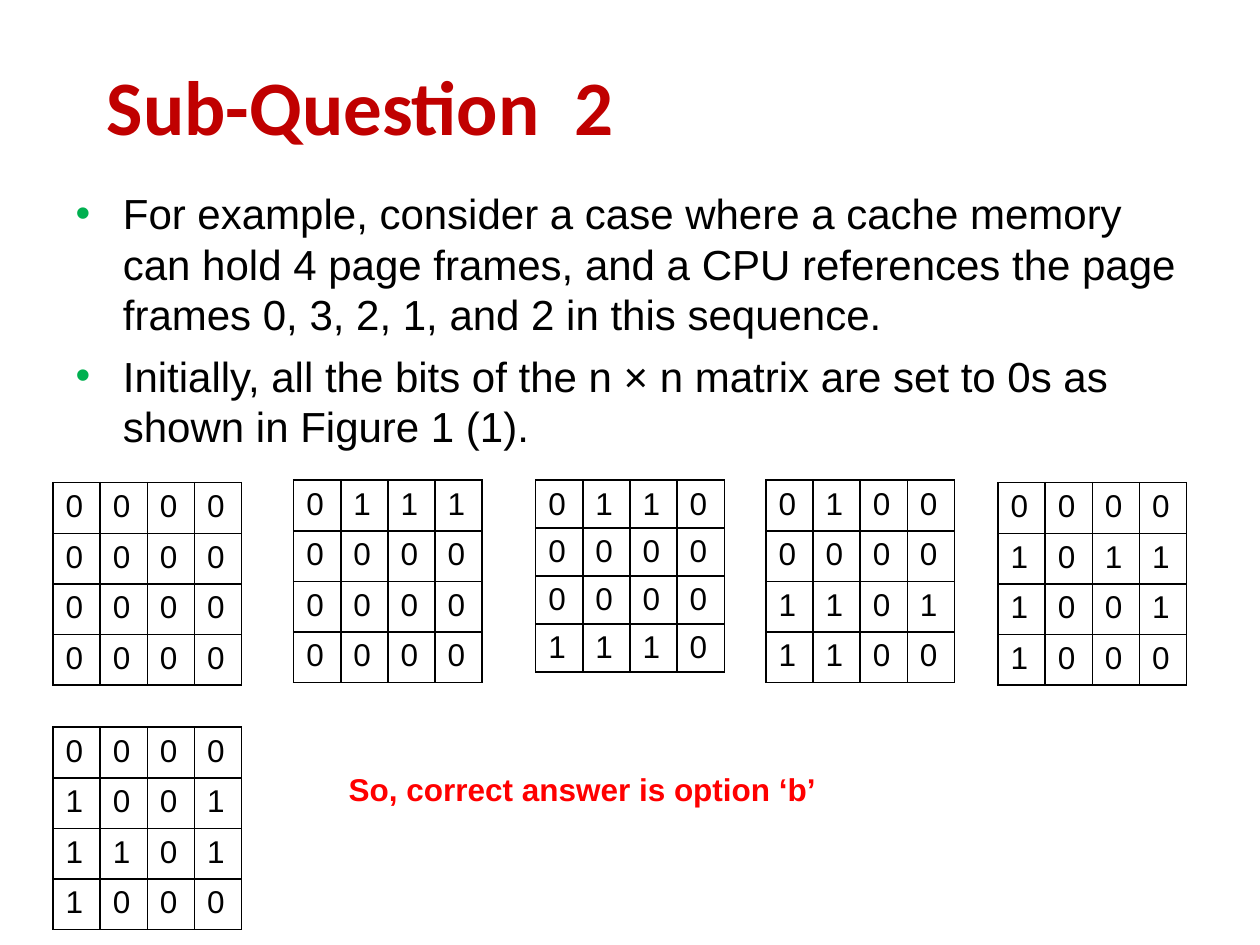
from pptx import Presentation
from pptx.dml.color import RGBColor
from pptx.enum.text import MSO_ANCHOR, MSO_AUTO_SIZE, PP_ALIGN
from pptx.oxml.ns import qn
from pptx.util import Cm, Pt
from lxml import etree

LEFT = PP_ALIGN.LEFT
TOP = MSO_ANCHOR.TOP
MIDDLE = MSO_ANCHOR.MIDDLE
FIXED = MSO_AUTO_SIZE.NONE
GROW = MSO_AUTO_SIZE.SHAPE_TO_FIT_TEXT

POINTS = [
    "For example, consider a case where a cache memory can hold 4 page frames, "
    "and a CPU references the page frames 0, 3, 2, 1, and 2 in this sequence.",
    "Initially, all the bits of the n × n matrix are set to 0s as shown in Figure 1 (1).",
]
GRIDS = [
    (1.07, 9.73, 1.02, "0000 0000 0000 0000"),
    (5.92, 9.68, 1.02, "0111 0000 0000 0000"),
    (10.8, 9.68, 0.86, "0110 0000 0000 1110"),
    (15.44, 9.68, 1.02, "0100 0000 1101 1100"),
    (20.12, 9.73, 1.02, "0000 1011 1001 1000"),
    (1.07, 14.66, 1.02, "0000 1001 1101 1000"),
]
COL = 0.95


def paint(hue):
    return RGBColor.from_string(hue)


def write(para, text, size=18, font="Arial", hue="000000", bold=False, space=0):
    para.alignment = LEFT
    para.space_before = Pt(space)
    run = para.add_run()
    run.text = text
    run.font.size = Pt(size)
    run.font.name = font
    run.font.bold = bold
    run.font.color.rgb = paint(hue)


def place(shape, left, top, width, height):
    shape.left, shape.top = Cm(left), Cm(top)
    shape.width, shape.height = Cm(width), Cm(height)


def add_title(slide, text):
    title = slide.shapes.title
    place(title, 1.9, 1.27, 22.43, 2.34)
    frame = title.text_frame
    frame.auto_size = FIXED
    frame.vertical_anchor = MIDDLE
    frame.margin_bottom = Cm(0.8)
    write(frame.paragraphs[0], text, size=44, font="Calibri", hue="C00000", bold=True)


def tint_dot(para, hue):
    tint = etree.SubElement(para._p.get_or_add_pPr(), qn("a:buClr"))
    etree.SubElement(tint, qn("a:srgbClr"), val=hue)


def add_list(slide, items):
    body = slide.placeholders[1]
    place(body, 1.27, 3.66, 22.86, 13.41)
    frame = body.text_frame
    frame.auto_size = FIXED
    for i, item in enumerate(items):
        para = frame.paragraphs[0] if i == 0 else frame.add_paragraph()
        write(para, item, size=24, space=6.4)
        tint_dot(para, "00B050")


def add_edges(cell, hue="000000"):
    props = cell._tc.get_or_add_tcPr()
    for i, side in enumerate(("lnL", "lnR", "lnT", "lnB")):
        line = etree.Element(qn("a:" + side), w=str(Pt(1)))
        fill = etree.SubElement(line, qn("a:solidFill"))
        etree.SubElement(fill, qn("a:srgbClr"), val=hue)
        props.insert(i, line)


def add_grid(slide, left, top, high, bits):
    rows = bits.split()
    count = len(rows)
    frame = slide.shapes.add_table(
        count, count, Cm(left), Cm(top), Cm(COL * count), Cm(high * count)
    )
    table = frame.table
    table.first_row = table.horz_banding = False
    for r, row in enumerate(rows):
        table.rows[r].height = Cm(high)
        table.columns[r].width = Cm(COL)
        for c, bit in enumerate(row):
            cell = table.cell(r, c)
            cell.fill.background()
            cell.vertical_anchor = TOP
            write(cell.text_frame.paragraphs[0], bit)
            add_edges(cell)


def add_note(slide, text):
    box = slide.shapes.add_textbox(Cm(6.78), Cm(15.39), Cm(12.7), Cm(1.02))
    frame = box.text_frame
    frame.word_wrap = True
    frame.auto_size = GROW
    write(frame.paragraphs[0], text, hue="FF0000", bold=True, space=6.4)


def main():
    deck = Presentation()
    deck.slide_width, deck.slide_height = Cm(25.4), Cm(19.05)
    slide = deck.slides.add_slide(deck.slide_layouts[1])
    for holder in list(slide.placeholders)[2:]:
        holder.element.getparent().remove(holder.element)
    add_title(slide, "Sub-Question  2")
    add_list(slide, POINTS)
    for grid in GRIDS:
        add_grid(slide, *grid)
    add_note(slide, "So, correct answer is option ‘b’")
    deck.save("out.pptx")


if __name__ == "__main__":
    main()
